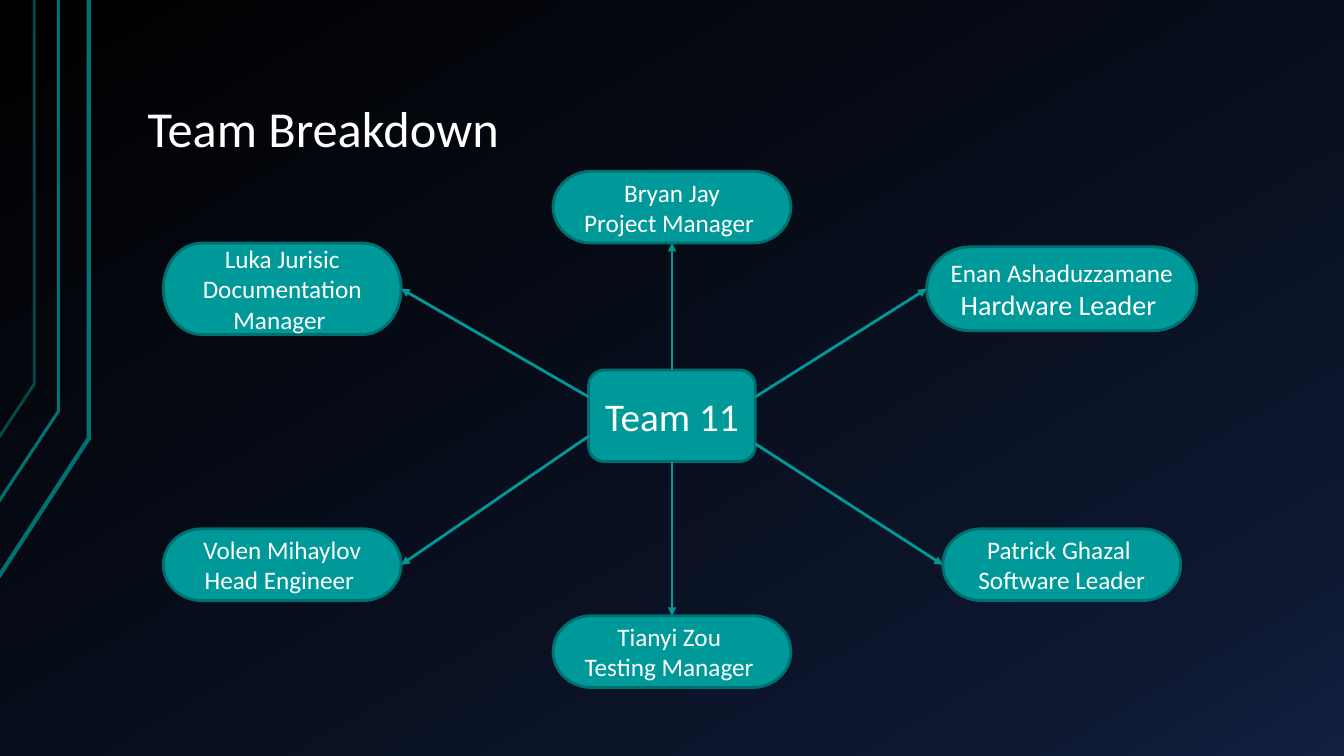
from copy import deepcopy

from lxml.etree import SubElement
from pptx import Presentation
from pptx.dml.color import RGBColor
from pptx.enum.shapes import MSO_CONNECTOR, MSO_SHAPE
from pptx.enum.text import MSO_ANCHOR, PP_ALIGN
from pptx.oxml.ns import qn
from pptx.util import Inches, Pt

COLORS = {
    "night": "000000", "navy": "0D172F", "blue": "122041",
    "teal": "009999", "outline": "006F6F", "stripe": "007272",
    "dim stripe": "004C4C", "text": "FFFFFF",
}
FONT = "Calibri"

# All lengths are percentages of the slide's width and height.
LEFT, MIDDLE, RIGHT = 21, 50, 79
HUB_ROW, HUB_WIDTH, HUB_HEIGHT = 55, 12.4, 12.1
HUB_LEFT, HUB_RIGHT = MIDDLE - HUB_WIDTH / 2, MIDDLE + HUB_WIDTH / 2
HUB_TOP, HUB_BOTTOM = HUB_ROW - HUB_HEIGHT / 2, HUB_ROW + HUB_HEIGHT / 2
NODE_WIDTH, NODE_HEIGHT = 17.7, 9.5
SITE_TOP, SITE_LEFT, SITE_BOTTOM, SITE_RIGHT = range(4)

# name, role, role size, centre, size, arrow start, connection site
MEMBERS = [
    ("Bryan Jay", "Project Manager ", 18, (MIDDLE, 27.4),
     (NODE_WIDTH, NODE_HEIGHT), (MIDDLE, HUB_TOP), SITE_BOTTOM),
    ("Luka Jurisic", "Documentation Manager ", 18, (LEFT, 38.2),
     (NODE_WIDTH, 12.1), (HUB_LEFT, 52.5), SITE_RIGHT),
    ("Enan Ashaduzzamane", "Hardware Leader ", 20, (RIGHT, 38.2),
     (20.1, 11.1), (HUB_RIGHT, 52.5), SITE_LEFT),
    ("Volen Mihaylov", "Head Engineer ", 18, (LEFT, 74.7),
     (NODE_WIDTH, NODE_HEIGHT), (HUB_LEFT, 57.7), SITE_RIGHT),
    ("Tianyi Zou ", "Testing Manager ", 18, (MIDDLE, 86.2),
     (NODE_WIDTH, NODE_HEIGHT), (MIDDLE, HUB_BOTTOM), SITE_TOP),
    ("Patrick Ghazal ", "Software Leader", 18, (RIGHT, 74.7),
     (NODE_WIDTH, NODE_HEIGHT), (HUB_RIGHT, 58.7), SITE_LEFT),
]

# start x, start y, bend x, bend y, colour, line width
STRIPES = [
    (-0.1, 76.3, 6.6, 58, "stripe", 3),
    (-0.15, 66.5, 4.35, 54.4, "stripe", 2.25),
    (-0.1, 57.9, 2.55, 50.8, "dim stripe", 2),
]


def rgb(color):
    return RGBColor.from_string(COLORS[color])


def write(paragraph, text, size=18, color="text", align=None, spacing=None):
    run = paragraph.add_run()
    run.text = text
    run.font.name = FONT
    run.font.size = Pt(size)
    run.font.color.rgb = rgb(color)
    paragraph.alignment = align
    paragraph.line_spacing = spacing


class TeamSlide:
    def __init__(self, deck):
        self.width, self.height = deck.slide_width, deck.slide_height
        self.slide = deck.slides.add_slide(deck.slide_layouts[5])
        self.shapes = self.slide.shapes

    def point(self, x, y):
        """Turn percentages of the slide into EMU."""
        return round(self.width * x / 100), round(self.height * y / 100)

    def outline(self, shape, color, width):
        shape.line.color.rgb = rgb(color)
        shape.line.width = Pt(width)

    def background(self, stops, angle):
        fill = self.slide.background.fill
        fill.gradient()
        fill.gradient_angle = angle
        stop_list = next(self.slide.element.iter(qn("a:gsLst")))
        while len(stop_list) < len(stops):
            stop_list.append(deepcopy(stop_list[0]))
        for stop, (position, color) in zip(fill.gradient_stops, stops):
            stop.position = position
            stop.color.rgb = rgb(color)

    def stripe(self, x, y, bend_x, bend_y, color, width):
        builder = self.shapes.build_freeform(*self.point(x, y))
        builder.add_line_segments(
            [self.point(bend_x, bend_y), self.point(bend_x, 0)], close=False)
        stripe = builder.convert_to_shape()
        stripe.fill.background()
        stripe.shadow.inherit = False
        self.outline(stripe, color, width)

    def title(self, text, left, top, width, height):
        title = self.shapes.title
        title.left, title.top = self.point(left, top)
        title.width, title.height = self.point(width, height)
        frame = title.text_frame
        frame.word_wrap = True
        frame.vertical_anchor = MSO_ANCHOR.BOTTOM
        frame.margin_left = frame.margin_right = Inches(0.13)
        frame.margin_top = frame.margin_bottom = Inches(0.07)
        write(frame.paragraphs[0], text, size=36, align=PP_ALIGN.LEFT, spacing=0.9)

    def box(self, kind, center, size, lines):
        """Add a box around its centre; lines are (text, size) pairs."""
        (x, y), (width, height) = center, size
        box = self.shapes.add_shape(
            kind, *self.point(x - width / 2, y - height / 2), *self.point(width, height))
        box.shadow.inherit = False
        box.fill.solid()
        box.fill.fore_color.rgb = rgb("teal")
        self.outline(box, "outline", 2)
        frame = box.text_frame
        frame.word_wrap = True
        frame.vertical_anchor = MSO_ANCHOR.MIDDLE
        for index, (text, font_size) in enumerate(lines):
            paragraph = frame.add_paragraph() if index else frame.paragraphs[0]
            write(paragraph, text, size=font_size, align=PP_ALIGN.CENTER)
        return box

    def arrow(self, start, node, site):
        begin = self.point(*start)
        arrow = self.shapes.add_connector(MSO_CONNECTOR.STRAIGHT, *begin, *begin)
        arrow.end_connect(node, site)
        self.outline(arrow, "teal", 2)
        SubElement(arrow.line._get_or_add_ln(), qn("a:tailEnd"), type="triangle")
        SubElement(arrow._element.spPr, qn("a:effectLst"))


def main():
    deck = Presentation()
    deck.slide_width, deck.slide_height = Inches(13.33), Inches(7.5)
    team = TeamSlide(deck)
    # python-pptx counts the angle counter-clockwise
    team.background([(0, "night"), (0.85, "navy"), (1, "blue")], angle=300)
    for stripe in STRIPES:
        team.stripe(*stripe)
    team.title("Team Breakdown", 10, 4, 85, 17.9)
    team.box(MSO_SHAPE.FLOWCHART_ALTERNATE_PROCESS, (MIDDLE, HUB_ROW),
             (HUB_WIDTH, HUB_HEIGHT), [("Team 11", 28)])
    for name, role, role_size, center, size, start, site in MEMBERS:
        node = team.box(MSO_SHAPE.FLOWCHART_TERMINATOR, center, size,
                        [(name, 18), (role, role_size)])
        team.arrow(start, node, site)
    deck.save("out.pptx")


if __name__ == "__main__":
    main()
